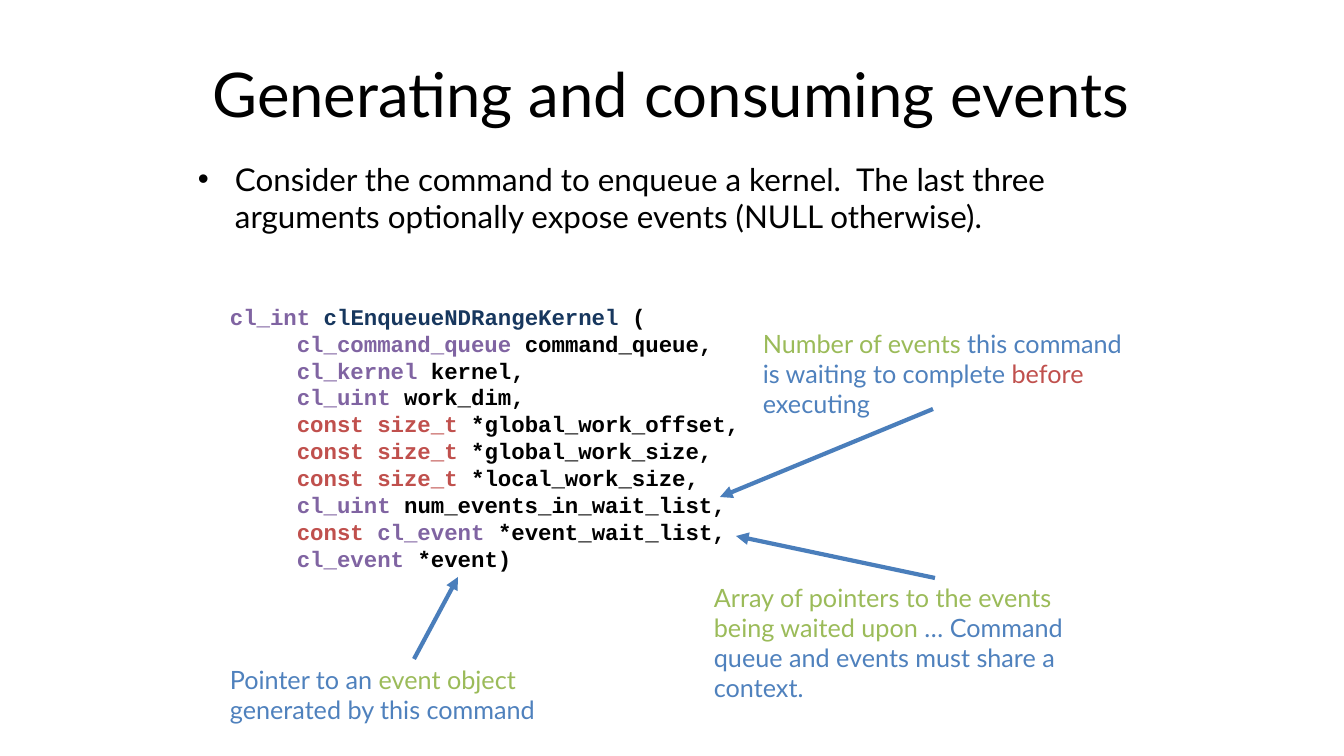
"""Build the slide on generating and consuming events."""
import dataclasses

import lxml.etree
import pptx
import pptx.dml.color
import pptx.enum.shapes
import pptx.enum.text
import pptx.oxml.ns
import pptx.util

SCALE = 914400 / 100.8


@dataclasses.dataclass(frozen=True)
class Theme:
    """Colours, fonts and type sizes of the slide."""
    black: str = "000000"
    navy: str = "17375E"
    purple: str = "8064A2"
    red: str = "C0504D"
    green: str = "9BBB59"
    blue: str = "4F81BD"
    arrow: str = "4A7EBB"
    sans: str = "Lato"
    mono: str = "Courier New"
    title: float = 44
    body: float = 22.4
    note: float = 18
    code: float = 16
    line: float = 3


THEME = Theme()


def emu(px):
    """Turn pixels into EMU."""
    return pptx.util.Emu(round(px * SCALE))


def rgb(color):
    """Turn a hex string into a colour."""
    return pptx.dml.color.RGBColor.from_string(color)


def assign(target, values):
    """Set every attribute named in a dict."""
    for name, value in values.items():
        setattr(target, name, value)


def node(parent, tag, **attrs):
    """Append a DrawingML element to a parent."""
    return lxml.etree.SubElement(parent, pptx.oxml.ns.qn(tag), attrs)


def add_text(slide, box, lines, size, face=THEME.sans, bold=False, anchor="TOP", align="LEFT"):
    """Add a text box from lines of (text, colour) runs."""
    frame = slide.shapes.add_textbox(*map(emu, box)).text_frame
    assign(frame, {"word_wrap": True,
                   "vertical_anchor": getattr(pptx.enum.text.MSO_ANCHOR, anchor)})
    style = {"name": face, "size": pptx.util.Pt(size), "bold": bold}
    for index, runs in enumerate(lines):
        para = frame.add_paragraph() if index else frame.paragraphs[0]
        para.alignment = getattr(pptx.enum.text.PP_ALIGN, align)
        for text, color in runs:
            run = para.add_run()
            run.text = text
            assign(run.font, style)
            run.font.color.rgb = rgb(color)
    return frame.paragraphs


def indent(para, left, first=0):
    """Set the left margin and first-line indent of a paragraph."""
    props = para._p.get_or_add_pPr()
    props.set("marL", str(emu(left)))
    props.set("indent", str(emu(first)))
    return props


def add_bullet(slide, box, text):
    """Add a bulleted statement."""
    para = add_text(slide, box, [[(text, THEME.black)]], THEME.body)[0]
    para.space_before = pptx.util.Pt(6.4)
    props = indent(para, 38, -37)
    node(props, "a:buFont", typeface="Arial")
    node(props, "a:buChar", char="•")


def add_code(slide, box, head, args):
    """Add a function signature with indented arguments."""
    paras = add_text(slide, box, [head, *args], THEME.code, THEME.mono, True)
    for para in paras[1:]:
        indent(para, 67)


def add_arrow(slide, start, end):
    """Add a straight arrow from start to end."""
    kind = pptx.enum.shapes.MSO_CONNECTOR.STRAIGHT
    link = slide.shapes.add_connector(kind, *map(emu, (*start, *end)))
    link.line.width = pptx.util.Pt(THEME.line)
    link.line.color.rgb = rgb(THEME.arrow)
    node(link.line._get_or_add_ln(), "a:tailEnd", type="triangle")
    node(link._element.spPr, "a:effectLst")


def main():
    """Build and save the slide."""
    deck = pptx.Presentation()
    assign(deck, {"slide_width": emu(1344), "slide_height": emu(756)})
    slide = deck.slides.add_slide(deck.slide_layouts[6])
    black, purple, red = THEME.black, THEME.purple, THEME.red
    green, blue = THEME.green, THEME.blue

    add_text(slide, (179, 30, 984, 126), [[("Generating and consuming events", black)]],
             THEME.title, anchor="MIDDLE", align="CENTER")
    add_bullet(slide, (187, 155, 969, 83),
               "Consider the command to enqueue a kernel.  The last three "
               "arguments optionally expose events (NULL otherwise).")

    head = [("cl_int ", purple), ("clEnqueueNDRangeKernel", THEME.navy), (" (", black)]
    args = [
        [("cl_command_queue ", purple), ("command_queue,", black)],
        [("cl_kernel ", purple), ("kernel,", black)],
        [("cl_uint ", purple), ("work_dim,", black)],
        *([("const size_t ", red), (f"*{name},", black)]
          for name in ("global_work_offset", "global_work_size", "local_work_size")),
        [("cl_uint ", purple), ("num_events_in_wait_list,", black)],
        [("const ", red), ("cl_event ", purple), ("*event_wait_list,", black)],
        [("cl_event ", purple), ("*event)", black)],
    ]
    add_code(slide, (220, 298, 596, 305), head, args)

    notes = [
        ((220, 659, 389, 71), (414, 659), (458, 577),
         [("Pointer to an ", blue), ("event object ", green),
          ("generated by this command", blue)]),
        ((704, 577, 389, 131), (935, 578), (736, 536),
         [("Array of pointers to the events being waited upon ", green),
          ("… Command queue and events must share a context.", blue)]),
        ((753, 323, 389, 101), (933, 409), (720, 497),
         [("Number of events ", green), ("this command is waiting to complete ", blue),
          ("before", red), (" executing", blue)]),
    ]
    for box, start, end, runs in notes:
        add_text(slide, box, [runs], THEME.note)
        add_arrow(slide, start, end)

    deck.save("out.pptx")


main()
